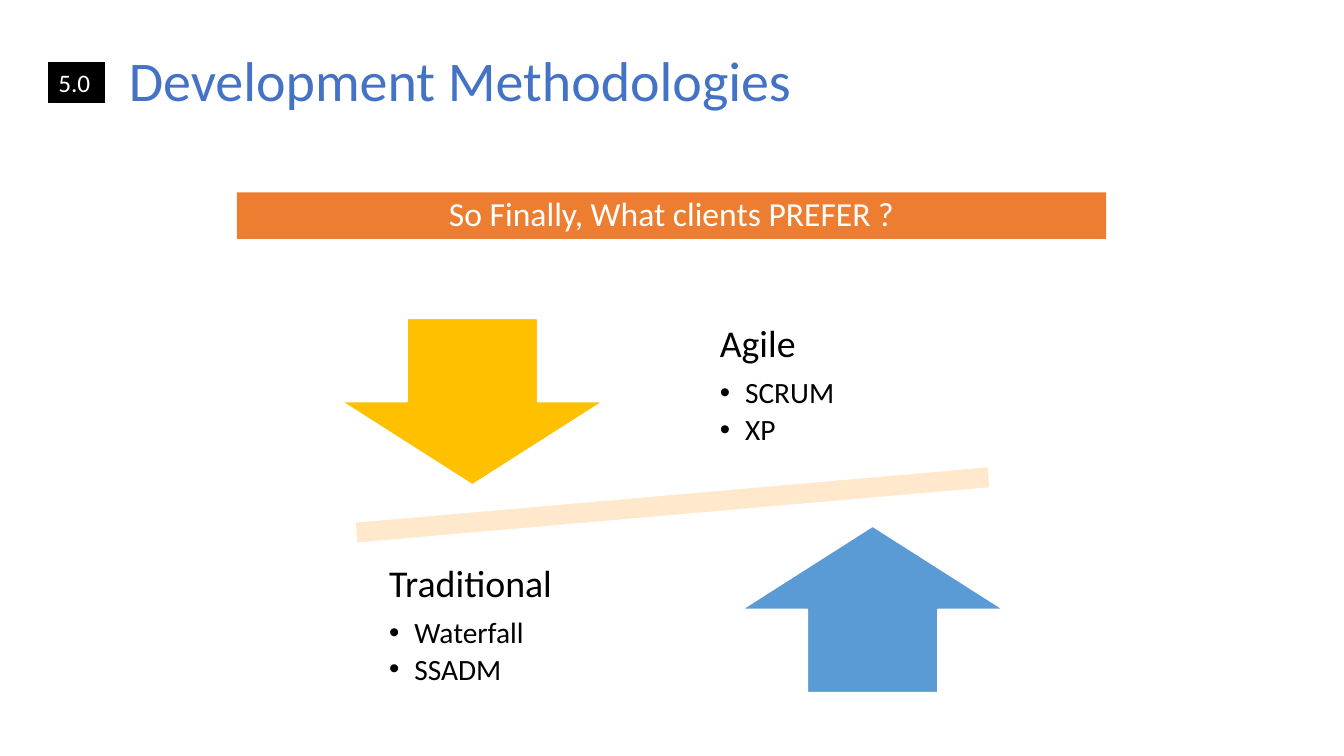
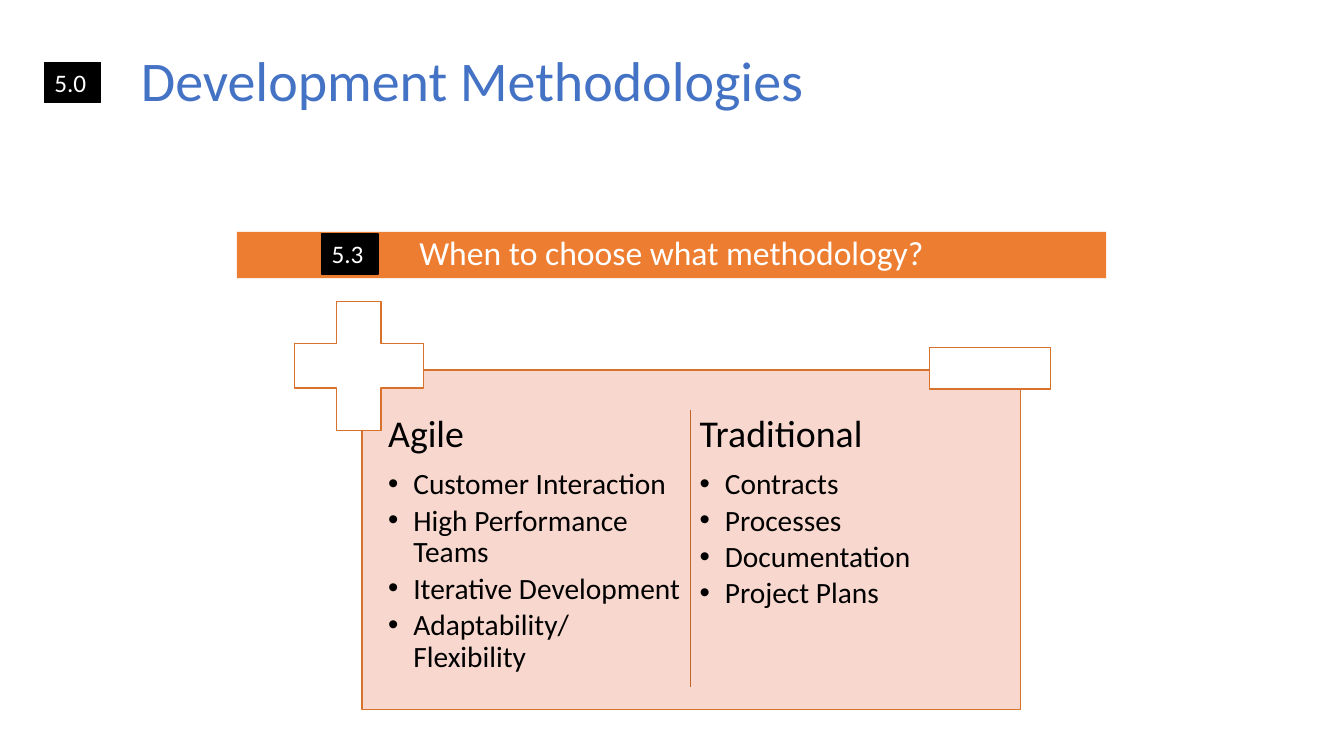
from pptx import Presentation
from pptx.dml.color import RGBColor
from pptx.enum.shapes import MSO_CONNECTOR, MSO_SHAPE
from pptx.enum.text import MSO_ANCHOR, PP_ALIGN
from pptx.oxml.xmlchemy import OxmlElement
from pptx.util import Inches, Pt

RECTANGLE, PLUS, MINUS = MSO_SHAPE.RECTANGLE, MSO_SHAPE.CROSS, MSO_SHAPE.MATH_MINUS
DOWN_ARROW, UP_ARROW = MSO_SHAPE.DOWN_ARROW, MSO_SHAPE.UP_ARROW
TOP, MIDDLE = MSO_ANCHOR.TOP, MSO_ANCHOR.MIDDLE
LEFT, CENTER = PP_ALIGN.LEFT, PP_ALIGN.CENTER

FONT = "Calibri"
BLACK, WHITE, BLUE, ORANGE = "000000", "FFFFFF", "4472C4", "ED7D31"
YELLOW, LIGHT_BLUE, CREAM = "FFC000", "5B9BD5", "FFE8CC"
PINK, RUST, DARK_RUST = "F8D7CE", "D7712C", "BE6427"

# Paragraph formats: size and colour go to the font, the rest to the paragraph
TITLE = {"size": 40, "color": BLUE, "line_spacing": 0.9}
BANNER = {"size": 24, "color": WHITE, "line_spacing": 0.9, "alignment": CENTER}
BADGE = {"size": 18, "color": WHITE, "alignment": LEFT}
HEADING = {"size": 27, "color": BLACK, "line_spacing": 0.9, "space_after": Pt(9.5)}
BULLET = {"size": 21, "color": BLACK, "line_spacing": 0.9, "space_after": Pt(3.2)}

TITLE_TEXT = "Development Methodologies"
BALANCE = {
    "title_left": 1.18, "badge_left": 0.48,
    "banner": "So Finally, What clients PREFER ?", "banner_top": 1.91,
    "lists": [
        ((6.93, 2.96, 2.76, 1.73), "Agile", ["SCRUM", "XP"]),
        ((3.65, 5.34, 2.76, 1.73), "Traditional", ["Waterfall", "SSADM"]),
    ],
    "list_inset": 0.21, "list_anchor": MIDDLE,
    "shapes": [
        (MINUS, (2.38, 4.56, 8.58, 0.9), CREAM, WHITE, {"rotation": 355}),
        (DOWN_ARROW, (3.39, 3.16, 2.59, 1.65), YELLOW, WHITE, {}),
        (UP_ARROW, (7.36, 5.22, 2.59, 1.65), LIGHT_BLUE, WHITE, {}),
    ],
}
CHOICE = {
    "title_left": 1.3, "badge_left": 0.44,
    "banner": "When to choose what methodology?", "banner_top": 2.3,
    "lists": [
        ((3.79, 4.06, 3.03, 2.89), "Agile",
         ["Customer Interaction", "High Performance Teams",
          "Iterative Development", "Adaptability/Flexibility"]),
        ((6.88, 4.06, 3.03, 2.89), "Traditional",
         ["Contracts", "Processes", "Documentation", "Project Plans"]),
    ],
    "list_inset": 0.06, "list_anchor": TOP,
    "shapes": [
        (RECTANGLE, (3.59, 3.67, 6.53, 3.37), PINK, RUST, {}),
        (PLUS, (2.92, 2.99, 1.28, 1.28), WHITE, RUST, {"adjustment": 0.328}),
        (RECTANGLE, (9.22, 3.45, 1.2, 0.41), WHITE, RUST, {}),
    ],
}


def rgb(value):
    return RGBColor.from_string(value)


def add_bullet(paragraph):
    properties = paragraph._p.get_or_add_pPr()
    properties.set("marL", str(Inches(0.25)))
    properties.set("indent", str(-Inches(0.25)))
    for tag, name, value in [("a:buFont", "typeface", "Arial"), ("a:buChar", "char", "•")]:
        element = OxmlElement(tag)
        element.set(name, value)
        properties.append(element)


def write(shape, lines, anchor=TOP, inset=None):
    """Fill a shape with (text, format) paragraphs; inset replaces the default margins."""
    frame = shape.text_frame
    frame.word_wrap = True
    frame.vertical_anchor = anchor
    if inset is not None:
        for side in ("left", "top", "right", "bottom"):
            setattr(frame, f"margin_{side}", Inches(inset))
    for index, (text, style) in enumerate(lines):
        paragraph = frame.add_paragraph() if index else frame.paragraphs[0]
        if style is BULLET:
            add_bullet(paragraph)
        run = paragraph.add_run()
        run.text = text
        run.font.name = FONT
        for name, value in style.items():
            if name == "size":
                run.font.size = Pt(value)
            elif name == "color":
                run.font.color.rgb = rgb(value)
            else:
                setattr(paragraph, name, value)


def add_text(slide, box, lines, **layout):
    write(slide.shapes.add_textbox(*map(Inches, box)), lines, **layout)


def add_shape(slide, kind, box, fill, line=None, rotation=0, adjustment=None):
    shape = slide.shapes.add_shape(kind, *map(Inches, box))
    shape.shadow.inherit = False
    shape.rotation = rotation
    shape.fill.solid()
    shape.fill.fore_color.rgb = rgb(fill)
    if line:
        shape.line.color.rgb = rgb(line)
        shape.line.width = Pt(1)
    else:
        shape.line.fill.background()
    if adjustment is not None:
        shape.adjustments[0] = adjustment
    return shape


def add_badge(slide, left, top, number):
    badge = add_shape(slide, RECTANGLE, (left, top, 0.56, 0.4), BLACK, BLACK)
    write(badge, [(number, BADGE)])


def add_divider(slide, x, top, bottom):
    divider = slide.shapes.add_connector(
        MSO_CONNECTOR.STRAIGHT, *map(Inches, (x, top, x, bottom)))
    divider.line.color.rgb = rgb(DARK_RUST)
    divider.line.width = Pt(1)
    divider._element.spPr.append(OxmlElement("a:effectLst"))


def add_slide(presentation, content):
    slide = presentation.slides.add_slide(presentation.slide_layouts[6])
    title_box = (content["title_left"], 0.4, 11.6, 0.85)
    add_text(slide, title_box, [(TITLE_TEXT, TITLE)], anchor=MIDDLE)
    banner = add_shape(slide, RECTANGLE, (2.35, content["banner_top"], 8.62, 0.46), ORANGE)
    write(banner, [(content["banner"], BANNER)])
    for kind, box, fill, line, options in content["shapes"]:
        add_shape(slide, kind, box, fill, line, **options)
    for box, heading, items in content["lists"]:
        lines = [(heading, HEADING)] + [(item, BULLET) for item in items]
        add_text(slide, box, lines, anchor=content["list_anchor"], inset=content["list_inset"])
    add_badge(slide, content["badge_left"], 0.62, "5.0")
    return slide


def main():
    presentation = Presentation()
    presentation.slide_width = Inches(13.33)
    presentation.slide_height = Inches(7.5)
    add_slide(presentation, BALANCE)
    choice_slide = add_slide(presentation, CHOICE)
    add_divider(choice_slide, 6.85, 4.07, 6.82)
    add_badge(choice_slide, 3.19, 2.32, "5.3")
    presentation.save("out.pptx")


if __name__ == "__main__":
    main()
